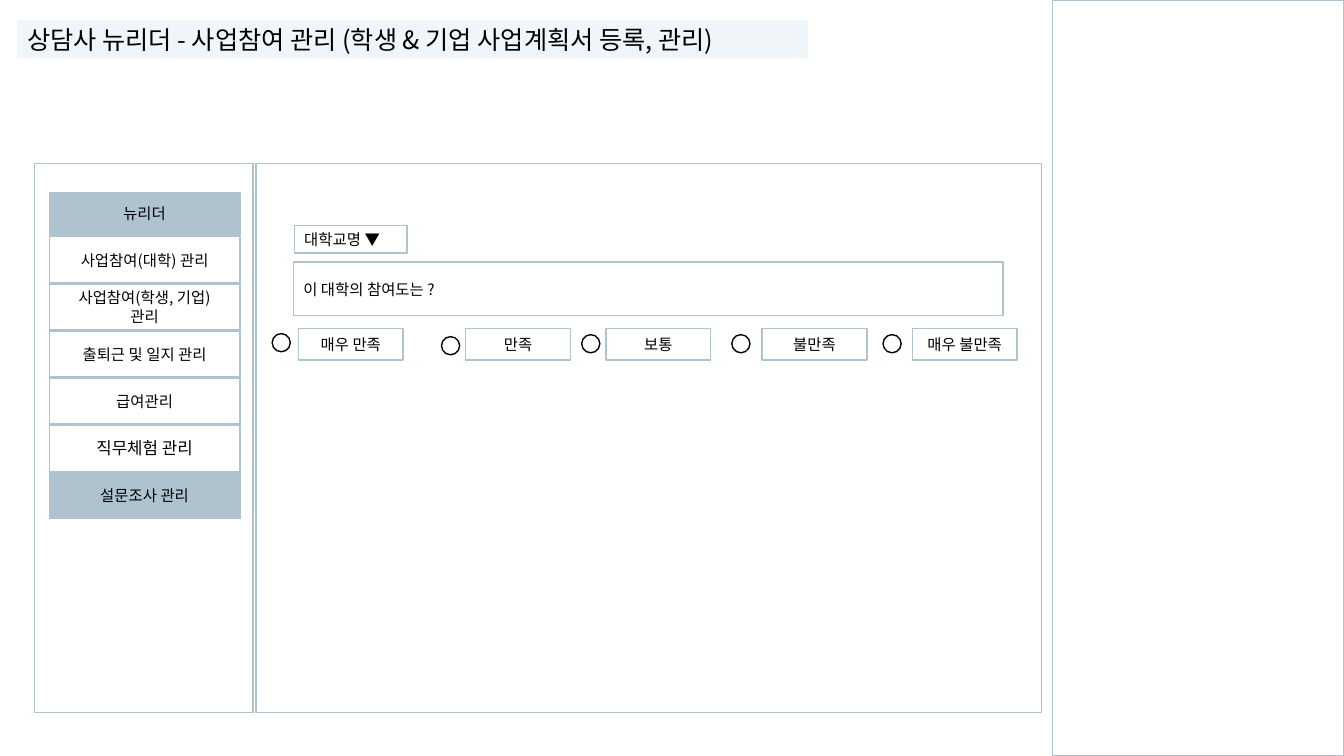
from dataclasses import dataclass

from lxml.etree import SubElement
from pptx import Presentation
from pptx.dml.color import RGBColor
from pptx.enum.shapes import MSO_SHAPE
from pptx.enum.text import MSO_ANCHOR, PP_ALIGN
from pptx.oxml.ns import qn
from pptx.util import Inches, Pt


@dataclass(frozen=True)
class Theme:
    font: str = "Noto Sans CJK KR"
    ink: str = "000000"
    accent: str = "AFC3CE"
    title_band: str = "F0F5F9"
    title_size: int = 18
    body_size: int = 11
    large_size: int = 12
    line_width: int = 1


theme = Theme()
deck = Presentation()
deck.slide_width, deck.slide_height = Inches(13.33), Inches(7.5)
slide = deck.slides.add_slide(deck.slide_layouts[6])


def draw(left, top, width, height, fill=None, line=theme.accent, kind=MSO_SHAPE.RECTANGLE):
    """Add a shape placed in percent of the slide's width and height."""
    shape = slide.shapes.add_shape(
        kind,
        int(deck.slide_width * left / 100), int(deck.slide_height * top / 100),
        int(deck.slide_width * width / 100), int(deck.slide_height * height / 100),
    )
    shape.shadow.inherit = False
    if fill:
        shape.fill.solid()
        shape.fill.fore_color.rgb = RGBColor.from_string(fill)
    else:
        shape.fill.background()
    if line:
        shape.line.color.rgb = RGBColor.from_string(line)
        shape.line.width = Pt(theme.line_width)
    else:
        shape.line.fill.background()
    return shape


def write(shape, text, size=theme.body_size, align=PP_ALIGN.CENTER):
    """Fill a shape with text, one paragraph per line, in the theme's font."""
    frame = shape.text_frame
    frame.word_wrap = True
    frame.vertical_anchor = MSO_ANCHOR.MIDDLE
    frame.text = text
    for paragraph in frame.paragraphs:
        paragraph.alignment = align
        paragraph.font.size = Pt(size)
        paragraph.font.color.rgb = RGBColor.from_string(theme.ink)
        paragraph.font.name = theme.font
        # Hangul takes the East Asian typeface, which font.name leaves unset
        defaults = paragraph._p.get_or_add_pPr().find(qn("a:defRPr"))
        SubElement(defaults, qn("a:ea"), typeface=theme.font)


# Panels
panel_top, panel_height = 21.6, 72.67
draw(78.3, 0, 21.7, 100)
draw(19.05, panel_top, 58.43, panel_height)
draw(2.55, panel_top, 16.28, panel_height)

# Title
title = draw(1.28, 2.67, 58.88, 5.07, fill=theme.title_band, line=None)
write(title, "상담사 뉴리더 - 사업참여 관리 (학생 & 기업 사업계획서 등록, 관리)",
      theme.title_size, PP_ALIGN.LEFT)

# Survey question
write(draw(21.9, 29.87, 8.4, 3.6), "대학교명 ▼", align=PP_ALIGN.LEFT)
write(draw(21.83, 34.67, 52.8, 7.07), "이 대학의 참여도는 ?", align=PP_ALIGN.LEFT)

# Answers: radio left, radio top, label left, label
answers = [
    (20.25, 44.13, 22.2, "매우 만족"),
    (32.85, 44.53, 34.65, "만족"),
    (43.28, 44.27, 45.08, "보통"),
    (54.45, 44.27, 56.7, "불만족"),
    (65.7, 44.27, 67.88, "매우 불만족"),
]
for radio_left, radio_top, label_left, answer in answers:
    draw(radio_left, radio_top, 1.35, 2.4, line=theme.ink, kind=MSO_SHAPE.OVAL)
    write(draw(label_left, 43.47, 7.8, 4.13), answer)

# Side menu
menu_left, menu_width = 3.67, 14.18
menu_top, menu_pitch, item_height = 31.33, 6.22, 6.13
write(draw(menu_left, 25.47, menu_width, 5.6, fill=theme.accent), "뉴리더")
menu = [
    ("사업참여(대학) 관리", None, theme.body_size),
    ("사업참여(학생, 기업)\n관리", None, theme.body_size),
    ("출퇴근 및 일지 관리", None, theme.body_size),
    ("급여관리", None, theme.body_size),
    ("직무체험 관리", None, theme.large_size),
    ("설문조사 관리", theme.accent, theme.body_size),
]
for row, (entry, fill, size) in enumerate(menu):
    item = draw(menu_left, menu_top + row * menu_pitch, menu_width, item_height, fill=fill)
    write(item, entry, size)

deck.save("out.pptx")
